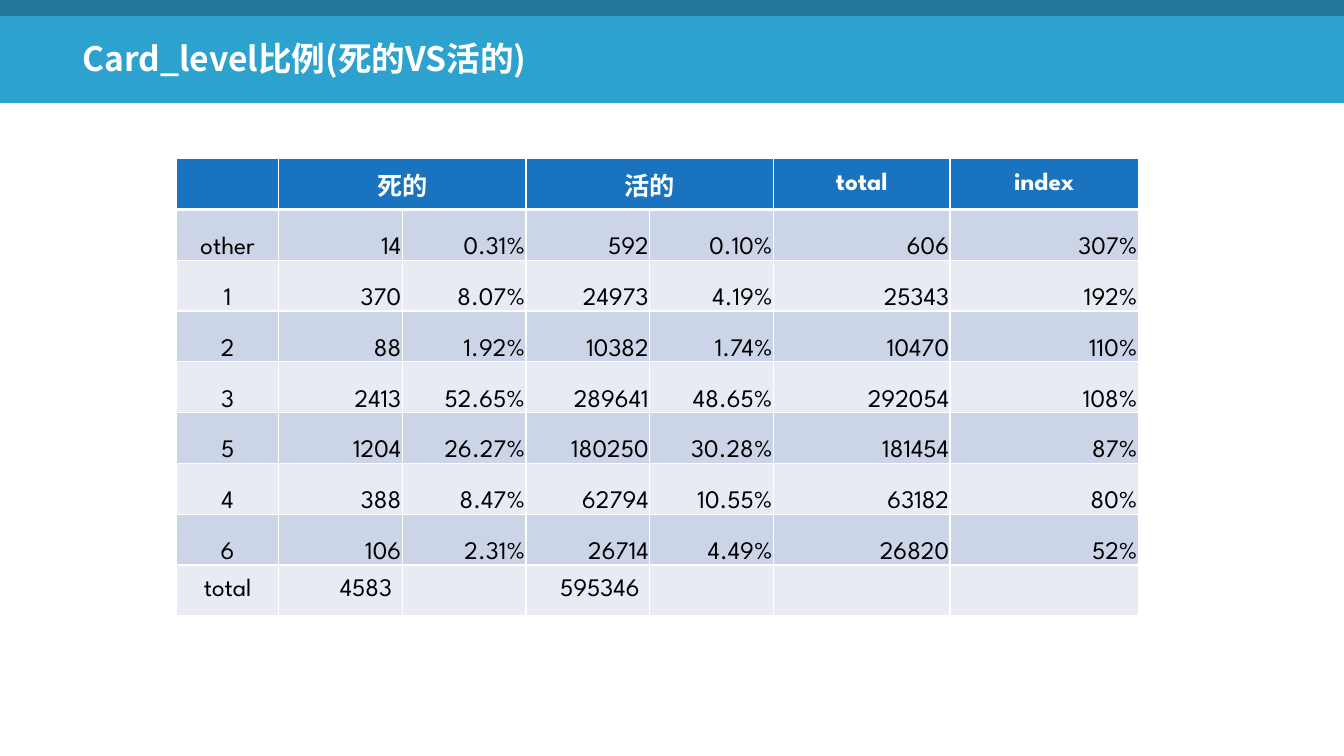
"""Build the card level comparison slide."""
from lxml.etree import SubElement
from pptx import Presentation
from pptx.dml.color import RGBColor
from pptx.enum.shapes import MSO_SHAPE as Shape
from pptx.enum.text import MSO_ANCHOR as Anchor, PP_ALIGN as Align
from pptx.oxml.ns import qn
from pptx.util import Pt

TITLE = "Card_level比例(死的VS活的)"
HEADER = ["", "死的", "", "活的", "", "total", "index"]
LEVELS = [
    ["other", "14", "0.31%", "592", "0.10%", "606", "307%"],
    ["1", "370", "8.07%", "24973", "4.19%", "25343", "192%"],
    ["2", "88", "1.92%", "10382", "1.74%", "10470", "110%"],
    ["3", "2413", "52.65%", "289641", "48.65%", "292054", "108%"],
    ["5", "1204", "26.27%", "180250", "30.28%", "181454", "87%"],
    ["4", "388", "8.47%", "62794", "10.55%", "63182", "80%"],
    ["6", "106", "2.31%", "26714", "4.49%", "26820", "52%"],
]
TOTALS = ["total", "4583", "", "595346", "", "", ""]
ROWS = [HEADER, *LEVELS, TOTALS]
MERGED_STARTS = (1, 3)

COLORS = {
    "banner": "2EA2CF", "strip": "23799B", "header": "1973BF",
    "odd": "CCD5E8", "even": "E8EBF4", "white": "FFFFFF", "black": "000000",
}
TITLE_FONT, TABLE_FONT = "Noto Sans CJK SC", "League Spartan"
SLIDE_WIDTH, SLIDE_HEIGHT = 960, 540
BANDS = [("banner", 73.5), ("strip", 11.5)]
TITLE_BOX = (51.8, 20.2, 417.6, 41.8)
TABLE_LEFT, TABLE_TOP, ROW_HEIGHT = 126.3, 113.3, 36.3
COLUMN_WIDTHS = [72.6, 88.4, 88.4, 88.4, 88.4, 126.2, 134.5]


def color(name):
    return RGBColor.from_string(COLORS[name])


def style_text(paragraph, font_name, size, color_name, bold):
    for run in paragraph.runs:
        font = run.font
        font.name, font.size, font.bold = font_name, Pt(size), bold
        font.color.rgb = color(color_name)
        SubElement(run._r.get_or_add_rPr(), qn("a:ea"), typeface=TITLE_FONT)


def add_band(slide, color_name, height):
    band = slide.shapes.add_shape(Shape.RECTANGLE, 0, 0, Pt(SLIDE_WIDTH), Pt(height))
    band.shadow.inherit = False
    band.fill.solid()
    band.fill.fore_color.rgb = color(color_name)
    band.line.fill.background()


def add_title(slide):
    frame = slide.shapes.add_textbox(*map(Pt, TITLE_BOX)).text_frame
    frame.word_wrap = True
    frame.vertical_anchor = Anchor.MIDDLE
    frame.text = TITLE
    paragraph = frame.paragraphs[0]
    paragraph.space_before = Pt(10)
    style_text(paragraph, TITLE_FONT, 24, "white", True)


def add_borders(cell, bottom_width):
    properties = cell._tc.get_or_add_tcPr()
    for side, width in (("L", 1), ("R", 1), ("T", 1), ("B", bottom_width)):
        line = SubElement(properties, qn(f"a:ln{side}"), w=str(Pt(width)))
        fill = SubElement(line, qn("a:solidFill"))
        SubElement(fill, qn("a:srgbClr"), val=COLORS["white"])


def fill_cell(cell, text, row, column):
    is_header = row == 0
    is_level = 0 < row < len(ROWS) - 1
    add_borders(cell, 3 if is_header else 1)
    cell.fill.solid()
    cell.fill.fore_color.rgb = color("header" if is_header else "odd" if row % 2 else "even")
    cell.vertical_anchor = Anchor.BOTTOM if is_level else Anchor.MIDDLE
    if is_level:
        cell.margin_left = cell.margin_right = cell.margin_top = Pt(0.7)
        cell.margin_bottom = Pt(0)
    if text:
        cell.text_frame.text = text
        paragraph = cell.text_frame.paragraphs[0]
        paragraph.alignment = Align.CENTER if is_header or column == 0 else Align.RIGHT
        style_text(paragraph, TABLE_FONT, 18, "white" if is_header else "black", is_header)


def add_level_table(slide):
    table = slide.shapes.add_table(
        len(ROWS), len(COLUMN_WIDTHS), Pt(TABLE_LEFT), Pt(TABLE_TOP),
        Pt(sum(COLUMN_WIDTHS)), Pt(ROW_HEIGHT * len(ROWS))).table
    for column, width in zip(table.columns, COLUMN_WIDTHS):
        column.width = Pt(width)
    for row, texts in enumerate(ROWS):
        table.rows[row].height = Pt(ROW_HEIGHT)
        for column, text in enumerate(texts):
            fill_cell(table.cell(row, column), text, row, column)
    for start in MERGED_STARTS:
        table.cell(0, start).merge(table.cell(0, start + 1))


def main():
    presentation = Presentation()
    presentation.slide_width, presentation.slide_height = Pt(SLIDE_WIDTH), Pt(SLIDE_HEIGHT)
    slide = presentation.slides.add_slide(presentation.slide_layouts[6])
    for color_name, height in BANDS:
        add_band(slide, color_name, height)
    add_title(slide)
    add_level_table(slide)
    presentation.save("out.pptx")


if __name__ == "__main__":
    main()
